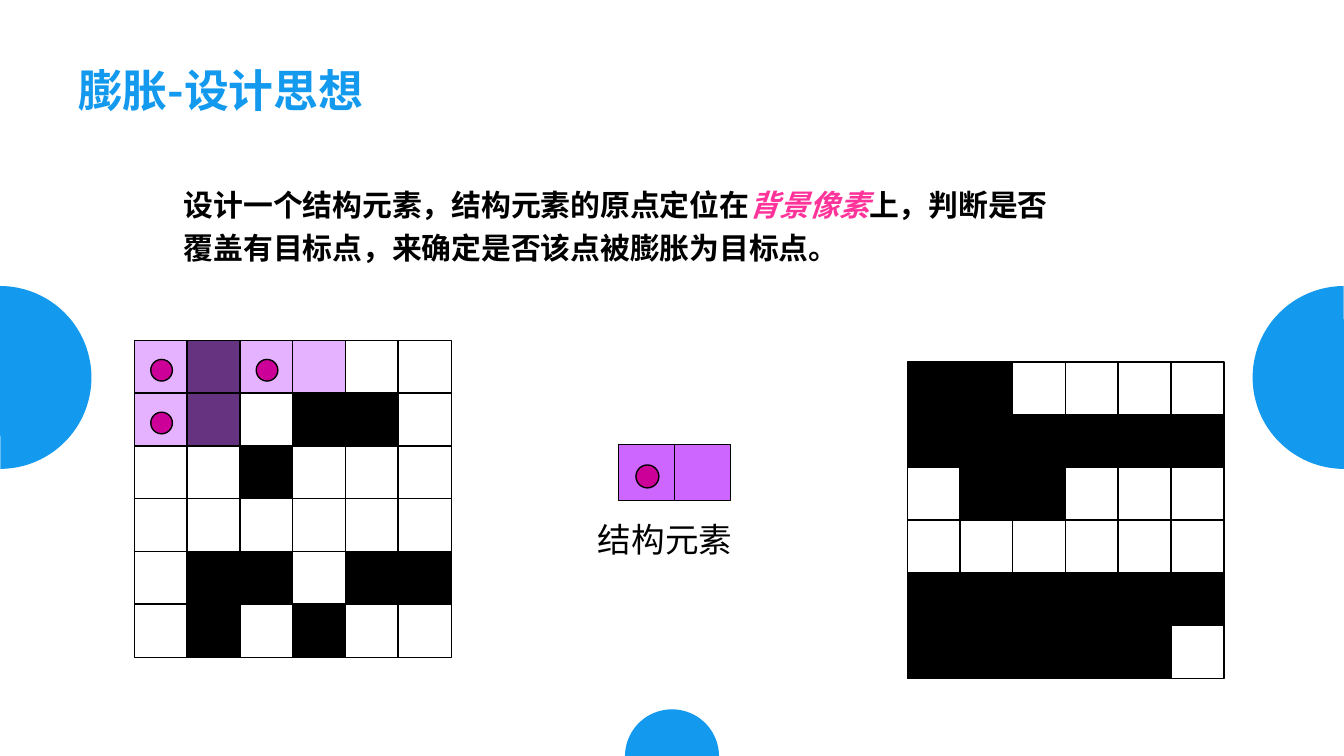
from lxml.etree import SubElement as Sub
from pptx import Presentation
from pptx.dml.color import RGBColor as Rgb
from pptx.enum.shapes import MSO_SHAPE as Kind
from pptx.enum.text import MSO_ANCHOR as Anchor, MSO_AUTO_SIZE as Auto, PP_ALIGN as Align
from pptx.oxml.ns import qn
from pptx.util import Pt

BLUE, PINK, DOT, CELL = "1399EE", "FF3399", "CC0099", "CC66FF"
BLACK, WHITE = "000000", "FFFFFF"
SANS, SERIF = "Noto Sans CJK SC", "Times New Roman"


def paint(fill, hue):
    fill.solid()
    fill.fore_color.rgb = Rgb.from_string(hue)


def draw(home, kind, x, y, size, hue, edge=True):
    shape = home.add_shape(kind, Pt(x), Pt(y), Pt(size), Pt(size))
    shape.shadow.inherit = False
    paint(shape.fill, hue)
    if edge:
        paint(shape.line.fill, BLACK)
        shape.line.width = Pt(0.75)
    else:
        shape.line.fill.background()
    return shape


deck = Presentation()
deck.slide_width, deck.slide_height = Pt(720), Pt(405)
slide = deck.slides.add_slide(deck.slide_layouts[5])
shapes = slide.shapes

for x, y, size, turn in [(334.8, 380, 50.4, 180), (-49, 153.2, 98, 270), (671, 153.2, 98, 90)]:
    pie = draw(shapes, Kind.PIE, x, y, size, BLUE, edge=False)
    pie.adjustments[0], pie.adjustments[1] = 0, 107.82
    pie.rotation = turn

title = shapes.title
title.left, title.top, title.width, title.height = Pt(34.6), Pt(30.2), Pt(350), Pt(36)
body = shapes.add_textbox(Pt(91.4), Pt(92.9), Pt(477.6), Pt(54))
label = shapes.add_textbox(Pt(313.2), Pt(274.3), Pt(102.2), Pt(28.8))

head = {"size": Pt(24), "name": SANS, "bold": True}
main = {"size": Pt(16), "name": SANS, "bold": True, "italic": False}
note = {"size": Pt(18), "name": SERIF}
texts = [
    (title, Anchor.MIDDLE, 1, [("膨胀-设计思想", head, BLUE)]),
    (body, Anchor.TOP, 1.2, [
        ("设计一个结构元素，结构元素的原点定位在", main, BLACK),
        ("背景像素", main | {"italic": True}, PINK),
        ("上，判断是否覆盖有目标点，来确定是否该点被膨胀为目标点。", main, BLACK),
    ]),
    (label, Anchor.TOP, 1, [("结构元素", note, BLACK)]),
]
for box, anchor, gap, runs in texts:
    frame = box.text_frame
    frame.word_wrap = True
    frame.auto_size = Auto.NONE
    frame.vertical_anchor = anchor
    para = frame.paragraphs[0]
    para.alignment = Align.LEFT
    para.line_spacing = gap
    for words, style, hue in runs:
        run = para.add_run()
        run.text = words
        for key, value in style.items():
            setattr(run.font, key, value)
        paint(run.font.fill, hue)
        if style["name"] == SANS:
            Sub(run.font._element, qn("a:ea"), typeface=SANS)

before = ["010000", "010110", "001000", "000000", "011011", "010100"]
after = ["110000", "111111", "011000", "000000", "111111", "111110"]
step = 28.25
left, top = 72, 182.4
for x, y, rows in [(left, top, before), (486, 193.9, after)]:
    grid = shapes.add_group_shape().shapes
    for row, bits in enumerate(rows):
        for col, bit in enumerate(bits):
            hue = BLACK if bit == "1" else WHITE
            draw(grid, Kind.RECTANGLE, x + col * step, y + row * step, 28.5, hue)

probes = [(left + col * step, top + row * step, 28.25, 50) for col, row in [(0, 0), (2, 0), (0, 1)]]
for x, y, size, alpha in probes + [(331.4, 238.3, 30, 100)]:
    pair = shapes.add_group_shape().shapes
    for col in range(2):
        cell = draw(pair, Kind.RECTANGLE, x + col * size, y, size, CELL)
        if alpha < 100:
            tint = cell._element.spPr.find(qn("a:solidFill"))[0]
            Sub(tint, qn("a:alpha"), val=str(alpha * 1000))
    draw(pair, Kind.OVAL, x + size * 0.31, y + size * 0.36, size * 0.41, DOT)

deck.save("out.pptx")
